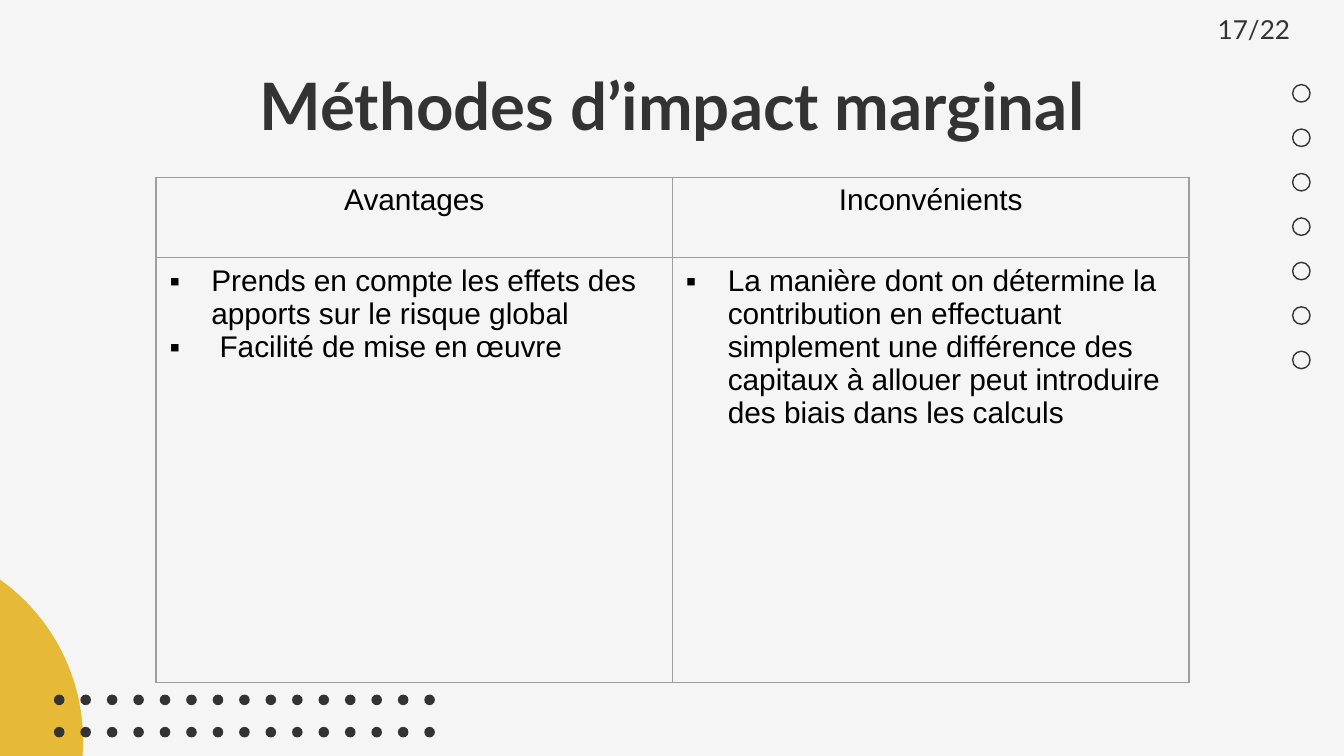
"""Build the slide on the pros and cons of marginal impact methods."""
from lxml.etree import SubElement as Sub
from pptx import Presentation
from pptx.dml.color import RGBColor as Rgb
from pptx.enum.shapes import MSO_SHAPE as Kind
from pptx.enum.text import MSO_ANCHOR as Anchor, PP_ALIGN as Align
from pptx.oxml import parse_xml
from pptx.oxml.ns import qn, nsdecls
from pptx.util import Cm, Pt

TITLE = "Méthodes d’impact marginal"
PAGE = "17/22"
HEADS = ["Avantages", "Inconvénients"]
POINTS = [
    ["Prends en compte les effets des apports sur le risque global",
     " Facilité de mise en œuvre"],
    ["La manière dont on détermine la contribution en effectuant simplement "
     "une différence des capitaux à allouer peut introduire des biais dans "
     "les calculs"],
]
HUES = {"paper": "F5F5F5", "ink": "333333", "gold": "E6B937",
        "grid": "9E9E9E", "text": "000000"}

RINGS = {"count": 7, "left": 24.43, "top": 1.6, "step": 0.84, "size": 0.33}
DOTS = {"count": 15, "left": 1.02, "step": 0.5, "size": 0.2}
DOT_TOPS = [13.13, 13.74]
COL_WIDTH = 9.76
ROW_HEIGHTS = [1.52, 8.03]
INDENT = Cm(0.79)


def hue(name):
    return Rgb.from_string(HUES[name])


def style(para, font, size, tone, bold=False, align=None):
    para.alignment = align
    for run in para.runs:
        run.font.name = font
        run.font.size = Pt(size)
        run.font.bold = bold
        run.font.color.rgb = hue(tone)


def draw(slide, kind, box, fill=None, line=None):
    shape = slide.shapes.add_shape(kind, *map(Cm, box))
    shape.shadow.inherit = False
    if fill:
        shape.fill.solid()
        shape.fill.fore_color.rgb = hue(fill)
    else:
        shape.fill.background()
    if line:
        shape.line.color.rgb = hue(line)
        shape.line.width = Pt(0.75)
    else:
        shape.line.fill.background()
    return shape


def border(cell):
    cell.fill.background()
    props = cell._tc.get_or_add_tcPr()
    for spot, side in enumerate("LRTB"):
        props.insert(spot, parse_xml(
            f'<a:ln{side} {nsdecls("a")} w="{Pt(0.75)}"><a:solidFill>'
            f'<a:srgbClr val="{HUES["grid"]}"/></a:solidFill></a:ln{side}>'))


def bullet(para):
    props = para._p.get_or_add_pPr()
    props.set("marL", str(INDENT))
    props.set("indent", str(-INDENT))
    tint = Sub(props, qn("a:buClr"))
    Sub(tint, qn("a:srgbClr"), val=HUES["text"])
    Sub(props, qn("a:buFont"), typeface="Arial")
    Sub(props, qn("a:buChar"), char="▪")


def add_decor(slide):
    draw(slide, Kind.OVAL, (-5.92, 10.26, 7.49, 7.49), fill="gold")
    size = RINGS["size"]
    for i in range(RINGS["count"]):
        top = RINGS["top"] + i * RINGS["step"]
        draw(slide, Kind.OVAL, (RINGS["left"], top, size, size), line="ink")
    size = DOTS["size"]
    for top in DOT_TOPS:
        for i in range(DOTS["count"]):
            left = DOTS["left"] + i * DOTS["step"]
            draw(slide, Kind.OVAL, (left, top, size, size), fill="ink")


def add_title(slide):
    box = slide.shapes.add_textbox(Cm(2), Cm(0.71), Cm(21.41), Cm(2.26))
    frame = box.text_frame
    frame.word_wrap = True
    frame.vertical_anchor = Anchor.BOTTOM
    frame.margin_top = frame.margin_bottom = Cm(0.25)
    frame.text = TITLE
    style(frame.paragraphs[0], "Lato", 35, "ink", True, Align.CENTER)


def add_grid(slide):
    table = slide.shapes.add_table(
        len(ROW_HEIGHTS), len(HEADS), Cm(2.95), Cm(3.35),
        Cm(COL_WIDTH * len(HEADS)), Cm(sum(ROW_HEIGHTS))).table
    table.first_row = table.horz_banding = False
    for row, height in zip(table.rows, ROW_HEIGHTS):
        row.height = Cm(height)
    for c, (head, points) in enumerate(zip(HEADS, POINTS)):
        table.columns[c].width = Cm(COL_WIDTH)
        top, body = table.cell(0, c), table.cell(1, c)
        top.text_frame.text = head
        style(top.text_frame.paragraphs[0], "Arial", 16, "text",
              align=Align.CENTER)
        body.text_frame.text = "\n".join(points)
        for para in body.text_frame.paragraphs:
            style(para, "Arial", 16, "text")
            bullet(para)
        border(top)
        border(body)


def add_page(slide):
    badge = draw(slide, Kind.ROUND_2_DIAG_RECTANGLE, (22, 0, 3.4, 1.09),
                 fill="paper")
    frame = badge.text_frame
    frame.vertical_anchor = Anchor.MIDDLE
    frame.text = PAGE
    style(frame.paragraphs[0], "Lato", 14, "ink", align=Align.CENTER)


def main():
    deck = Presentation()
    deck.slide_width, deck.slide_height = Cm(25.4), Cm(14.29)
    slide = deck.slides.add_slide(deck.slide_layouts[6])
    slide.background.fill.solid()
    slide.background.fill.fore_color.rgb = hue("paper")
    add_decor(slide)
    add_title(slide)
    add_grid(slide)
    add_page(slide)
    deck.save("out.pptx")


if __name__ == "__main__":
    main()
